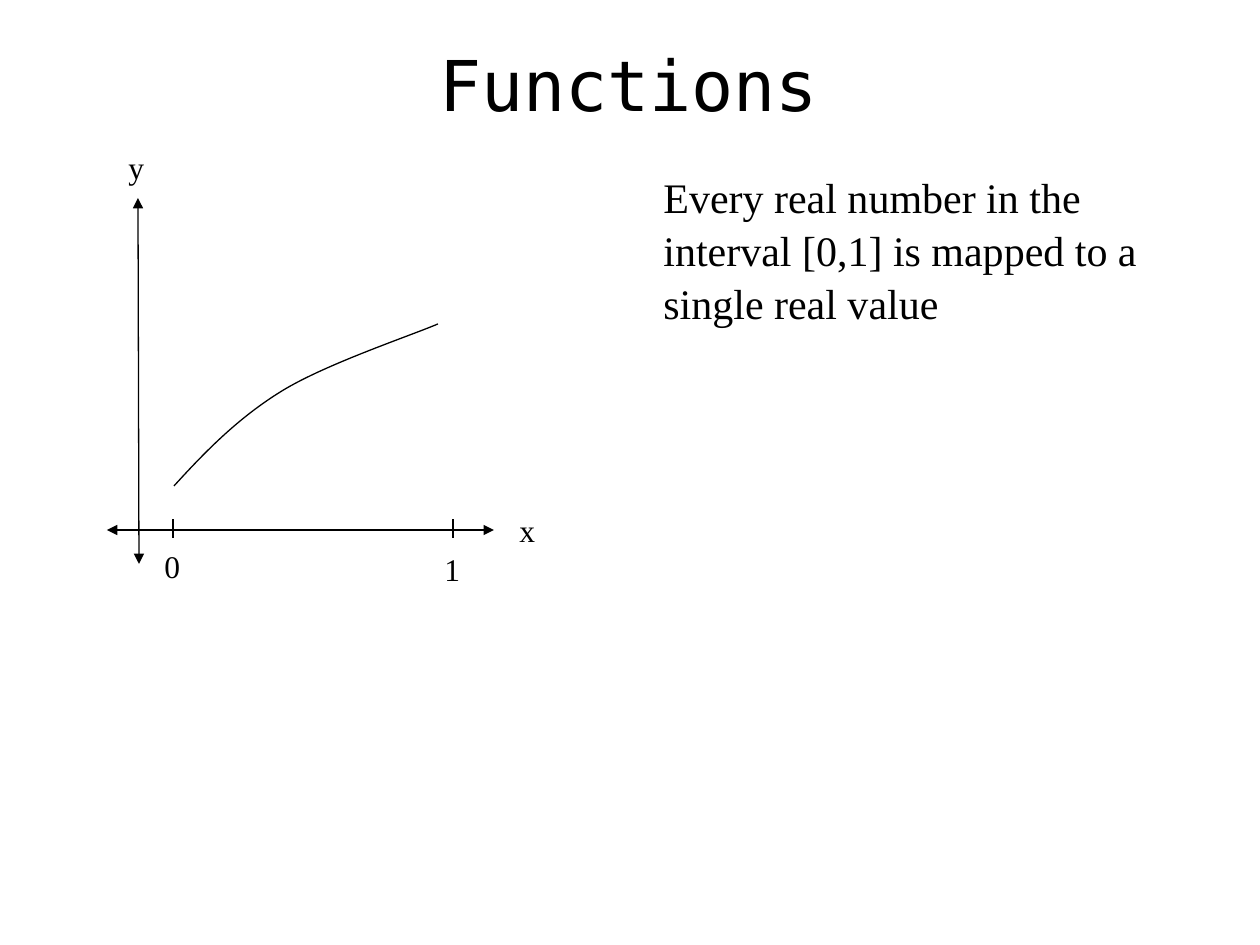
from dataclasses import dataclass

from lxml import etree
from pptx import Presentation
from pptx import util as u
from pptx.dml.color import RGBColor
from pptx.enum import shapes, text
from pptx.oxml import ns

PX = 914400 / 126


@dataclass(frozen=True)
class Theme:
    ink: RGBColor = RGBColor(0, 0, 0)
    paper: RGBColor = RGBColor(255, 255, 255)
    title_font: str = "DejaVu Sans Mono"
    body_font: str = "Times New Roman"
    title_size: int = 40
    body_size: int = 24
    label_size: int = 18
    stroke: float = 0.75


THEME = Theme()


def px(length):
    return u.Emu(round(length * PX))


def add_text(slide, words, left, top, width, height, *, size=THEME.label_size,
             font=THEME.body_font, align=text.PP_ALIGN.LEFT,
             anchor=text.MSO_ANCHOR.TOP, wrap=True, spacing=1.0):
    box = slide.shapes.add_textbox(px(left), px(top), px(width), px(height))
    frame = box.text_frame
    frame.word_wrap = wrap
    frame.vertical_anchor = anchor
    paragraph = frame.paragraphs[0]
    paragraph.alignment = align
    paragraph.line_spacing = spacing
    run = paragraph.add_run()
    run.text = words
    run.font.name = font
    run.font.size = u.Pt(size)
    run.font.color.rgb = THEME.ink


def style_line(line):
    line.color.rgb = THEME.ink
    line.width = u.Pt(THEME.stroke)


def add_line(slide, start, end, arrows=False):
    stroke = slide.shapes.add_connector(
        shapes.MSO_CONNECTOR.STRAIGHT, *map(px, start + end))
    style_line(stroke.line)
    properties = stroke._element.spPr
    if arrows:
        outline = properties.find(ns.qn("a:ln"))
        for end_name in ("a:headEnd", "a:tailEnd"):
            etree.SubElement(outline, ns.qn(end_name), type="triangle")
    etree.SubElement(properties, ns.qn("a:effectLst"))


def add_curve(slide, start, controls):
    builder = slide.shapes.build_freeform(*start, scale=PX)
    builder.add_line_segments(controls, close=False)
    curve = builder.convert_to_shape()
    curve.shadow.inherit = False
    curve.fill.background()
    style_line(curve.line)
    outline = next(curve._element.iter(ns.qn("a:path")))
    segments = outline.findall(ns.qn("a:lnTo"))
    for first in range(0, len(segments), 3):
        bezier = etree.SubElement(outline, ns.qn("a:cubicBezTo"))
        for segment in segments[first:first + 3]:
            bezier.append(segment[0])
            outline.remove(segment)


def add_graph(slide):
    add_line(slide, (139, 564), (138, 198), arrows=True)
    add_line(slide, (107, 530), (494, 530), arrows=True)
    for tick in (173, 453):
        add_line(slide, (tick, 538), (tick, 519))
    add_curve(slide, (174, 486), [(205, 452), (238, 418), (282, 391),
                                  (326, 364), (410, 336), (438, 324)])
    add_text(slide, "x", 507, 505, 47, 50)
    add_text(slide, "y", 116, 142, 47, 50)
    add_text(slide, "0", 152, 541, 42, 50, wrap=False)
    add_text(slide, "1", 432, 544, 42, 50, wrap=False)


def main():
    deck = Presentation()
    deck.slide_width, deck.slide_height = px(1260), px(945)
    slide = deck.slides.add_slide(deck.slide_layouts[6])
    slide.background.fill.solid()
    slide.background.fill.fore_color.rgb = THEME.paper
    add_text(slide, "Functions", 93, 23, 1071, 120, size=THEME.title_size,
             font=THEME.title_font, align=text.PP_ALIGN.CENTER,
             anchor=text.MSO_ANCHOR.MIDDLE)
    add_graph(slide)
    add_text(slide, "Every real number in the interval [0,1] is mapped to a "
             "single real value", 651, 163, 562, 165,
             size=THEME.body_size, spacing=1.05)
    deck.save("out.pptx")


if __name__ == "__main__":
    main()
